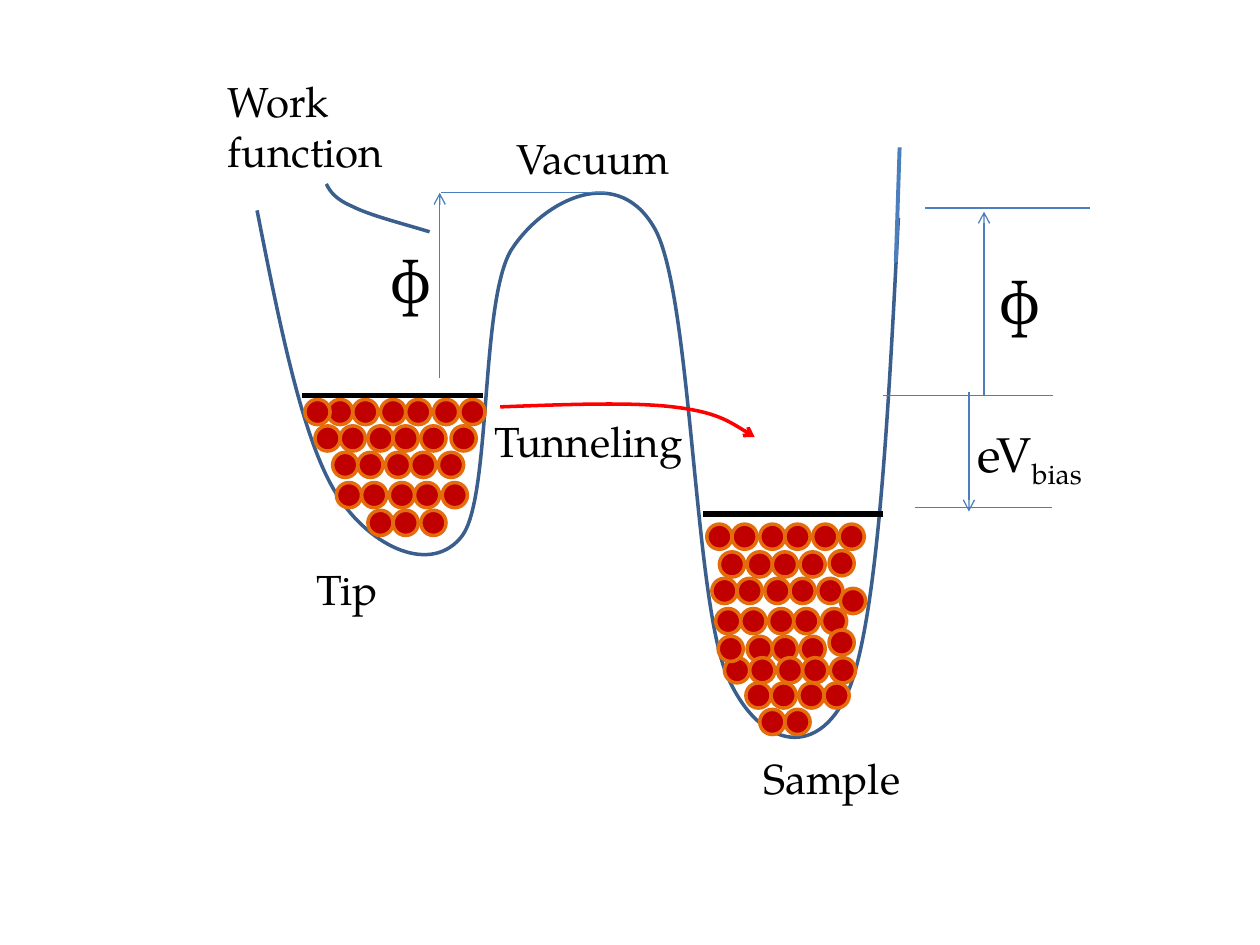
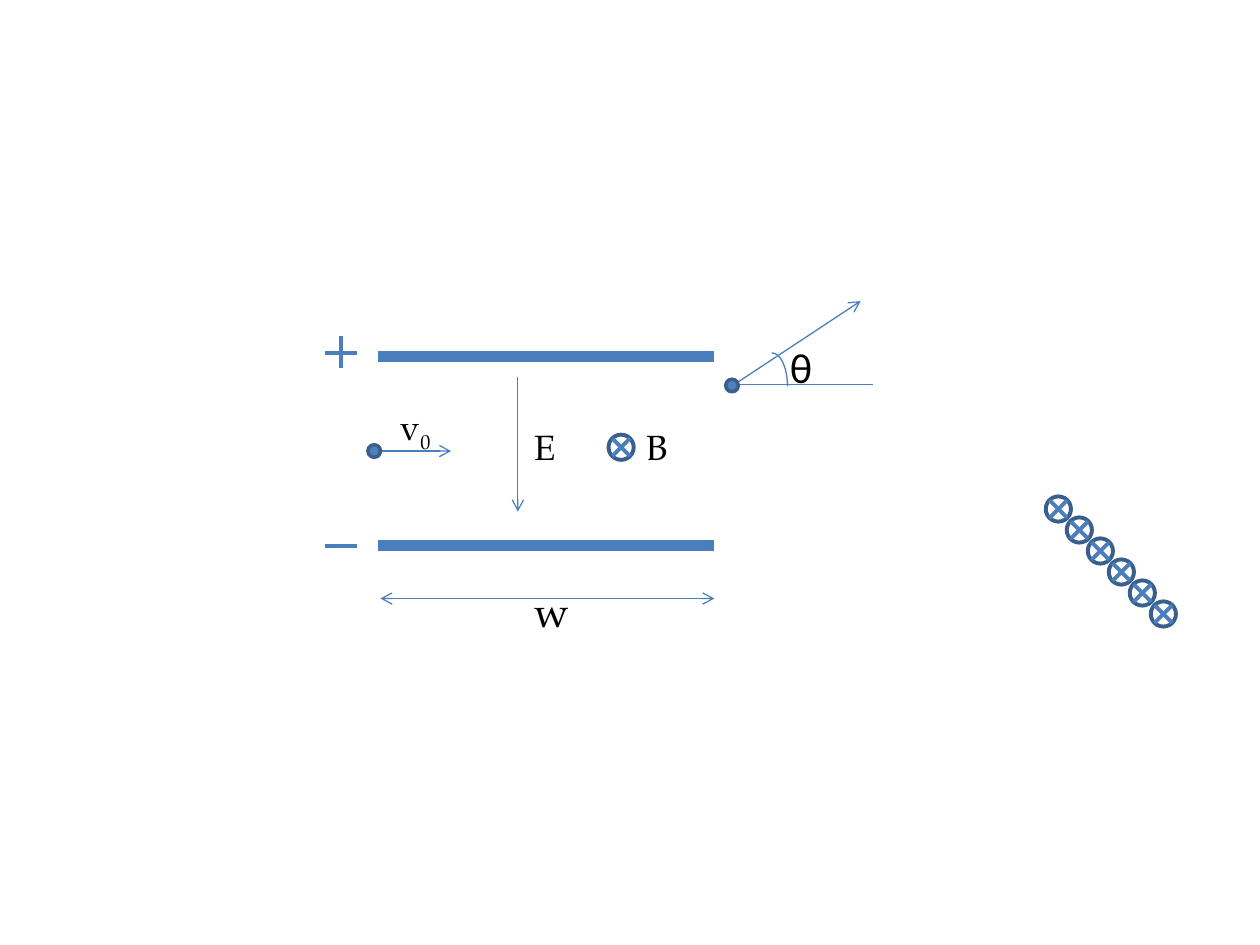
from lxml import etree
from pptx import Presentation
from pptx import util as u
from pptx.dml.color import RGBColor
from pptx.enum import shapes, text
from pptx.oxml.ns import qn

BLUE, NAVY, FILL = "4B7EBC", "3A5F8C", "4F81BD"
RED, ORANGE, CRIMSON, BLACK = "FF0000", "E46C0A", "C00000", "000000"
SERIF, SANS = "TeX Gyre Pagella", "Calibri"
THIN, BOLD = 0.75, 2.25
ELLIPSE, ARC = shapes.MSO_SHAPE.OVAL, shapes.MSO_SHAPE.ARC

# Electrons sit in rows: left of the first, top, count
GAPS = (0, 0.2, 0.42, 0.62, 0.84, 1.05)
SIZE = 0.2
TIP = [(2.6, 3.17, 6), (2.42, 3.17, 1), (2.5, 3.38, 5), (3.58, 3.38, 1),
       (2.64, 3.59, 5), (2.67, 3.83, 5), (2.92, 4.05, 3)]
SAMPLE = [(5.61, 4.16, 6), (5.71, 4.38, 1), (5.93, 4.38, 3), (6.58, 4.37, 1),
          (5.65, 4.59, 5), (5.68, 4.83, 5), (5.93, 5.05, 3), (5.75, 5.22, 5),
          (5.92, 5.42, 4), (6.03, 5.63, 2), (6.58, 5, 1), (6.67, 4.67, 1),
          (5.7, 5.05, 1)]

# Bezier curves: a start point, then three points for each piece
WELLS = [(2.04, 1.67),
         (2.22, 2.58), (2.4, 3.49), (2.67, 3.92),
         (2.94, 4.35), (3.43, 4.57), (3.67, 4.25),
         (3.9, 3.93), (3.81, 2.38), (4.06, 1.98),
         (4.32, 1.58), (4.92, 1.28), (5.21, 1.84),
         (5.49, 2.41), (5.51, 4.76), (5.77, 5.36),
         (6.03, 5.96), (6.52, 6.04), (6.75, 5.44),
         (6.97, 4.83), (7.05, 3.28), (7.13, 1.73)]
HOP = [(3.97, 3.23), (4.49, 3.21), (5.01, 3.19), (5.34, 3.23),
       (5.68, 3.27), (5.83, 3.37), (5.99, 3.47)]
POINTER = [(3.41, 1.84), (3.18, 1.77), (2.94, 1.71), (2.8, 1.64),
           (2.66, 1.58), (2.62, 1.52), (2.59, 1.46)]


def color(code):
    return RGBColor.from_string(code)


class Deck:
    def __init__(self):
        self.show = Presentation()
        self.show.slide_width = u.Inches(10)
        self.show.slide_height = u.Inches(7.5)

    def page(self):
        blank = self.show.slide_layouts[6]
        self.items = self.show.slides.add_slide(blank).shapes

    def group(self):
        return self.items.add_group_shape().shapes

    def stroke(self, shape, code, width, ends=()):
        """Set the outline; ends may hold headEnd and tailEnd, in that order."""
        shape.line.color.rgb = color(code)
        shape.line.width = u.Pt(width)
        outline = shape._element.spPr.get_or_add_ln()
        for end in ends:
            etree.SubElement(outline, qn("a:" + end), type="arrow")

    def line(self, start, stop, width=THIN, code=BLUE, ends=(), on=None):
        spots = [u.Inches(v) for v in (*start, *stop)]
        link = (on or self.items).add_connector(
            shapes.MSO_CONNECTOR.STRAIGHT, *spots)
        self.stroke(link, code, width, ends)
        etree.SubElement(link._element.spPr, qn("a:effectLst"))

    def arrow(self, start, stop):
        self.line(start, stop, ends=["tailEnd"])

    def shape(self, kind, box, code, width, fill=None, on=None):
        item = (on or self.items).add_shape(kind, *[u.Inches(v) for v in box])
        item.shadow.inherit = False
        if fill:
            item.fill.solid()
            item.fill.fore_color.rgb = color(fill)
        else:
            item.fill.background()
        self.stroke(item, code, width)

    def curve(self, knots, box, code, ends=()):
        """Draw Bezier pieces in a frame given as left, top, width, height."""
        left, top, wide, high = [u.Inches(v) for v in box]
        pen = self.items.build_freeform(left, top)
        pen.add_line_segments([(left + wide, top + high)], close=False)
        item = pen.convert_to_shape()
        item.shadow.inherit = False
        item.fill.background()
        self.stroke(item, code, 2, ends)

        track = item._element.spPr.find(".//" + qn("a:path"))
        for step in list(track):
            track.remove(step)
        for i, (x, y) in enumerate(knots):
            if i == 0:
                step = etree.SubElement(track, qn("a:moveTo"))
            elif i % 3 == 1:
                step = etree.SubElement(track, qn("a:cubicBezTo"))
            etree.SubElement(step, qn("a:pt"), x=str(u.Inches(x) - left),
                             y=str(u.Inches(y) - top))

    def label(self, words, box, size=24, sub="", font=SERIF, wrap=False):
        item = self.items.add_textbox(*[u.Inches(v) for v in box])
        frame = item.text_frame
        frame.text = words
        frame.word_wrap = wrap
        frame.auto_size = text.MSO_AUTO_SIZE.SHAPE_TO_FIT_TEXT
        line = frame.paragraphs[0]
        if sub:
            low = line.add_run()
            low.text = sub
            low._r.get_or_add_rPr().set("baseline", "-25000")
        for run in line.runs:
            run.font.name = font
            run.font.size = u.Pt(size)
            run.font.color.rgb = color(BLACK)

    def pile(self, rows):
        """Stack electrons row by row."""
        for left, top, count in rows:
            for gap in GAPS[:count]:
                self.shape(ELLIPSE, (left + gap, top, SIZE, SIZE),
                           ORANGE, 2, CRIMSON)

    def charge(self, left, top):
        self.shape(ELLIPSE, (left, top, 0.1, 0.1), NAVY, 2, FILL)

    def field(self, left, top):
        """Draw a crossed circle: a field pointing into the page."""
        on = self.group()
        self.shape(ELLIPSE, (left, top, SIZE, SIZE), NAVY, BOLD, on=on)
        near, far = 0.03, 0.17
        for a, b in ((near, far), (far, near)):
            self.line((left + near, top + a), (left + far, top + b), BOLD, on=on)


def tunnel(deck):
    deck.page()
    deck.curve(WELLS, (2.04, 1.53, 5.08, 4.32), NAVY)
    deck.pile(TIP)
    deck.pile(SAMPLE)
    for left, level in ((2.4, 3.14), (5.58, 4.08)):
        deck.line((left, level), (left + 1.43, level), 3, BLACK)

    for left, right, level in ((3.5, 4.81, 1.53), (7.01, 8.36, 3.14),
                               (7.26, 8.35, 4.03), (7.34, 8.65, 1.65)):
        deck.line((left, level), (right, level))
    for x, start, stop in ((3.49, 3, 1.53), (7.69, 3.11, 4.06),
                           (7.81, 3.14, 1.68)):
        deck.arrow((x, start), (x, stop))
    deck.line((7.11, 2.08), (7.14, 1.17), BOLD)
    deck.curve(HOP, (3.97, 3.21, 2.01, 0.27), RED, ["tailEnd"])
    deck.curve(POINTER, (2.59, 1.46, 0.83, 0.39), NAVY)

    for words, box in (("Tip", (2.41, 4.42, 0.71, 0.5)),
                       ("Sample", (5.96, 5.92, 1.31, 0.5)),
                       ("Vacuum", (4, 1, 1.47, 0.5)),
                       ("Tunneling", (3.83, 3.25, 1.75, 0.5))):
        deck.label(words, box)
    deck.label("Work function", (1.71, 0.55, 1.5, 0.91), wrap=True)
    for left, top in ((2.99, 1.82), (7.83, 1.99)):
        deck.label("ᶲ", (left, top, 0.51, 1.01), 54, wrap=True)
    deck.label("eV", (7.66, 3.31, 1.14, 0.57), 28, "bias")


def plates(deck):
    deck.page()
    for level in (2.83, 4.33):
        deck.line((3, level), (5.67, level), 6)
    plus = deck.group()
    deck.line((2.71, 2.67), (2.71, 2.92), BOLD, on=plus)
    deck.line((2.58, 2.8), (2.83, 2.8), BOLD, on=plus)
    deck.line((2.58, 4.33), (2.83, 4.33), BOLD)

    deck.arrow((3, 3.58), (3.58, 3.58))
    deck.arrow((5.83, 3.05), (6.83, 2.39))
    deck.line((5.83, 3.05), (6.93, 3.05))
    deck.shape(ARC, (6, 2.8, 0.25, 0.53), BLUE, THIN)
    deck.charge(2.92, 3.53)
    deck.charge(5.76, 3.01)
    deck.line((3.02, 4.75), (5.67, 4.75), ends=["headEnd", "tailEnd"])
    deck.arrow((4.11, 2.99), (4.11, 4.06))

    deck.field(4.83, 3.45)
    for i in range(6):
        deck.field(8.3 + i / 6, 3.94 + i / 6)

    deck.label("θ", (6.17, 2.66, 0.38, 0.5), font=SANS)
    deck.label("w", (4.14, 4.6, 0.48, 0.5))
    deck.label("v", (3.08, 3.17, 0.45, 0.44), 20, "0")
    deck.label("E", (4.14, 3.33, 0.37, 0.44), 20)
    deck.label("B", (5.03, 3.33, 0.37, 0.44), 20)


def main():
    deck = Deck()
    tunnel(deck)
    plates(deck)
    deck.show.save("out.pptx")


if __name__ == "__main__":
    main()
